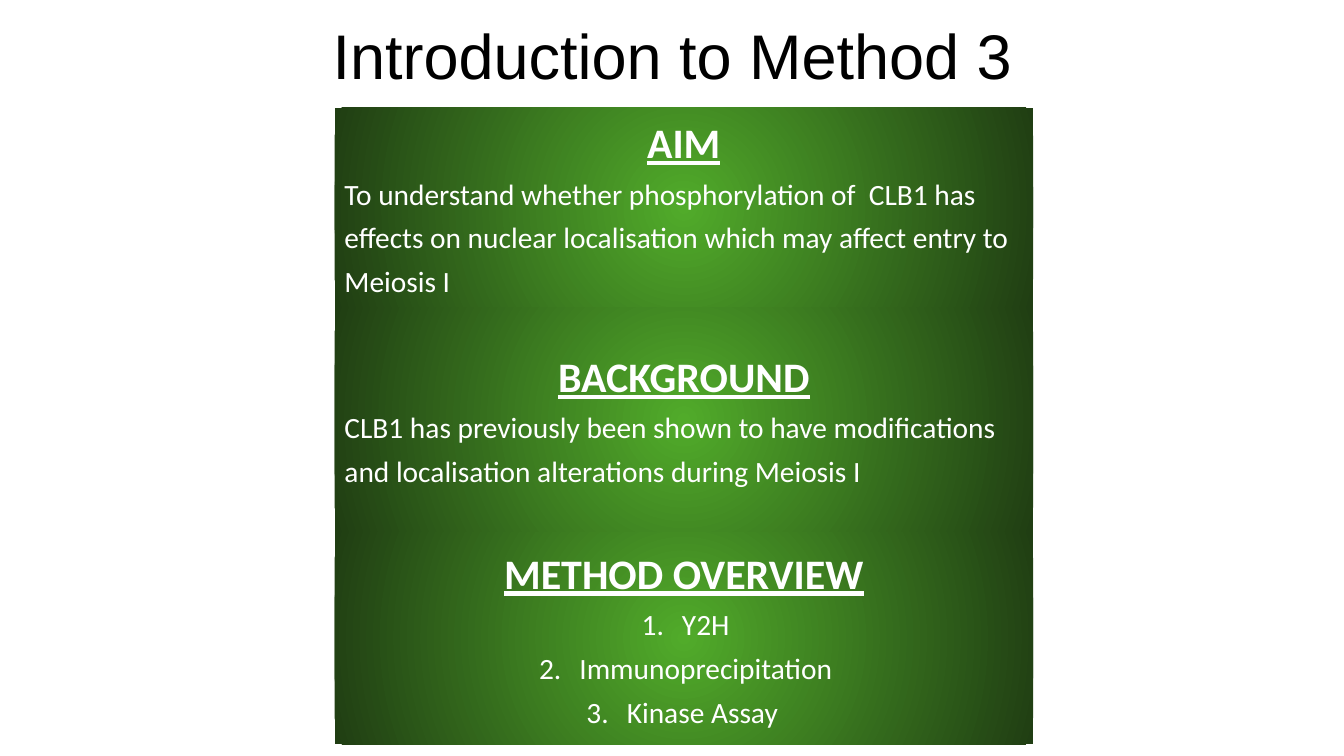
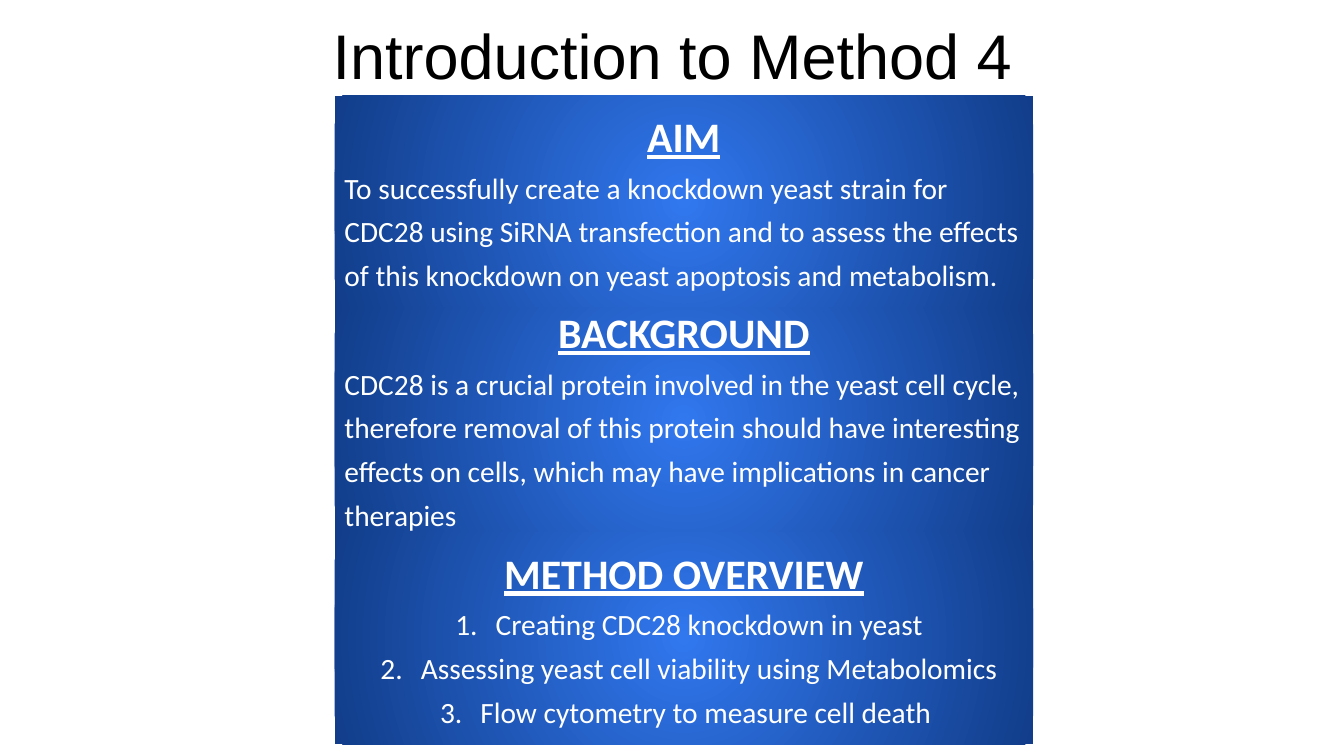
from lxml.etree import SubElement as Sub
from pptx import Presentation
from pptx.dml.color import RGBColor
from pptx.enum.shapes import MSO_SHAPE as Shape
from pptx.enum.text import MSO_ANCHOR as Anchor, PP_ALIGN as Align
from pptx.oxml.ns import qn
from pptx.util import Pt

BLACK = RGBColor(0x00, 0x00, 0x00)
WHITE = RGBColor(0xFF, 0xFF, 0xFF)
LIME = RGBColor(0x51, 0xAB, 0x2A)
MOSS = RGBColor(0x20, 0x3E, 0x13)
SKY = RGBColor(0x31, 0x77, 0xEE)
NAVY = RGBColor(0x11, 0x3D, 0x8A)

LEFT, WIDTH = 239, 499
HEADS = ["AIM", "BACKGROUND", "METHOD OVERVIEW"]


def write(frame, text, size=21, face="Calibri", color=WHITE, bold=False,
          align=Align.LEFT, lead=1.24, number=False):
    para = frame.paragraphs[0]
    if para.runs:
        para = frame.add_paragraph()
    para.alignment = align
    para.line_spacing = lead
    if number:
        props = para._p.get_or_add_pPr()
        props.set("marL", str(Pt(36)))
        props.set("indent", str(Pt(-28.8)))
        tint = Sub(props, qn("a:buClr"))
        Sub(tint, qn("a:srgbClr"), val=str(color))
        Sub(props, qn("a:buAutoNum"), type="arabicPeriod")
    run = para.add_run()
    run.text = text
    font = run.font
    font.size = Pt(size)
    font.name = face
    font.bold = font.underline = bold
    font.color.rgb = color


def panel(slide, top, height, inner, outer):
    box = slide.shapes.add_shape(Shape.RECTANGLE, Pt(LEFT), Pt(top), Pt(WIDTH), Pt(height))
    box.shadow.inherit = False
    box.line.fill.background()
    box.fill.gradient()
    for stop, color, place in zip(box.fill.gradient_stops, (inner, outer), (0, 1)):
        stop.color.rgb = color
        stop.position = place
    grad = box._element.spPr.find(qn("a:gradFill"))
    grad.remove(grad.find(qn("a:lin")))
    glow = Sub(grad, qn("a:path"))
    glow.set("path", "circle")
    Sub(glow, qn("a:fillToRect"), {side: "50000" for side in "ltrb"})
    frame = box.text_frame
    frame.word_wrap = True
    frame.vertical_anchor = Anchor.MIDDLE
    return frame


SLIDES = [
    ("Introduction to Method 3", 77, LIME, MOSS,
     "To understand whether phosphorylation of  CLB1 has effects on nuclear "
     "localisation which may affect entry to Meiosis I",
     "CLB1 has previously been shown to have modifications and localisation "
     "alterations during Meiosis I",
     ["Y2H ", "Immunoprecipitation ", "Kinase Assay  "]),
    ("Introduction to Method 4", 68.5, SKY, NAVY,
     "To successfully create a knockdown yeast strain for CDC28 using SiRNA "
     "transfection and to assess the effects of this knockdown on yeast "
     "apoptosis and metabolism.",
     "CDC28 is a crucial protein involved in the yeast cell cycle, therefore "
     "removal of this protein should have interesting effects on cells, which "
     "may have implications in cancer therapies",
     ["Creating CDC28 knockdown in yeast",
      "Assessing yeast cell viability using Metabolomics",
      "Flow cytometry to measure cell death "]),
]

deck = Presentation()
deck.slide_width = Pt(960)
deck.slide_height = Pt(540)

for title, top, inner, outer, aim, back, steps in SLIDES:
    slide = deck.slides.add_slide(deck.slide_layouts[6])
    head = slide.shapes.add_textbox(Pt(37.5), Pt(0), Pt(885.5), Pt(84)).text_frame
    head.word_wrap = True
    head.vertical_anchor = Anchor.MIDDLE
    write(head, title, size=45, face="Arial", color=BLACK, align=Align.CENTER, lead=0.9)

    edges = [top, 219.5, 380, 531.5]
    for name, body, start, end in zip(HEADS, ([aim], [back], steps), edges, edges[1:]):
        frame = panel(slide, start, end - start, inner, outer)
        write(frame, name, size=30, bold=True, align=Align.CENTER, lead=1.0)
        listed = body is steps
        for text in body:
            write(frame, text, align=Align.CENTER if listed else Align.LEFT, number=listed)

deck.save("out.pptx")
